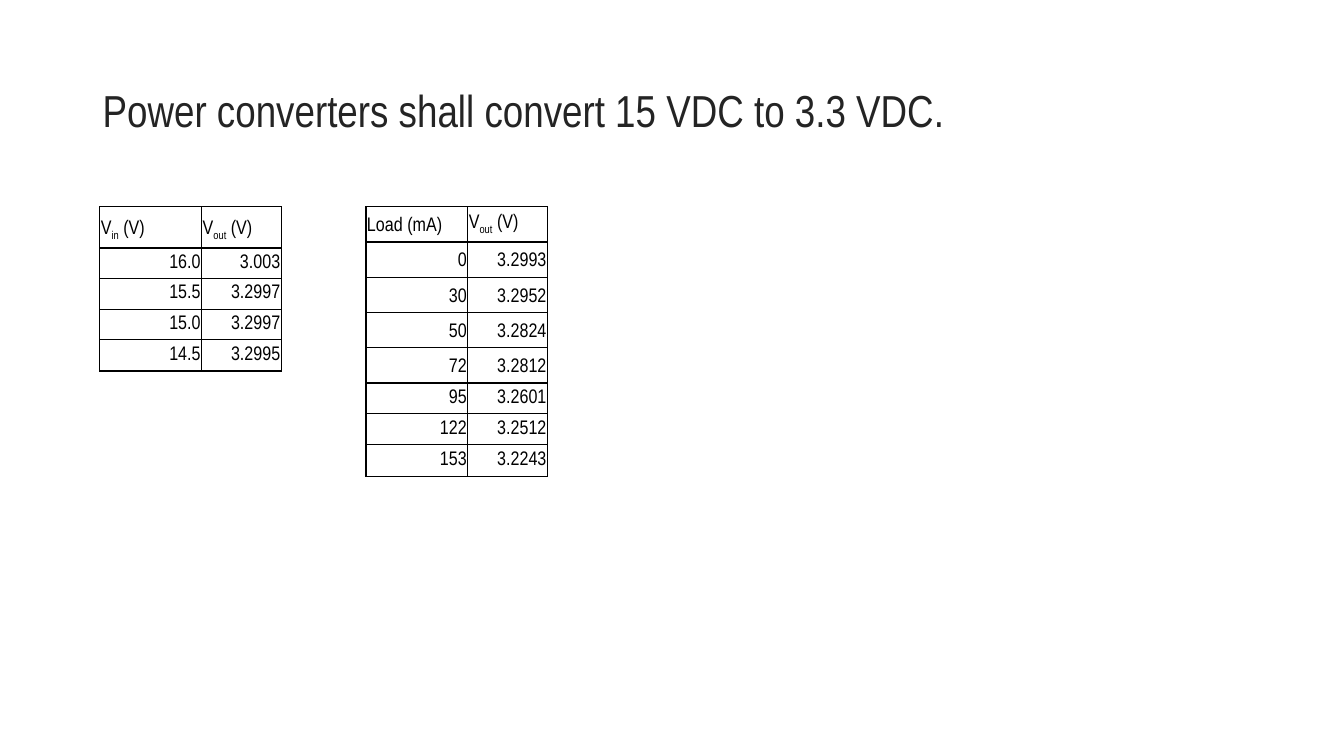
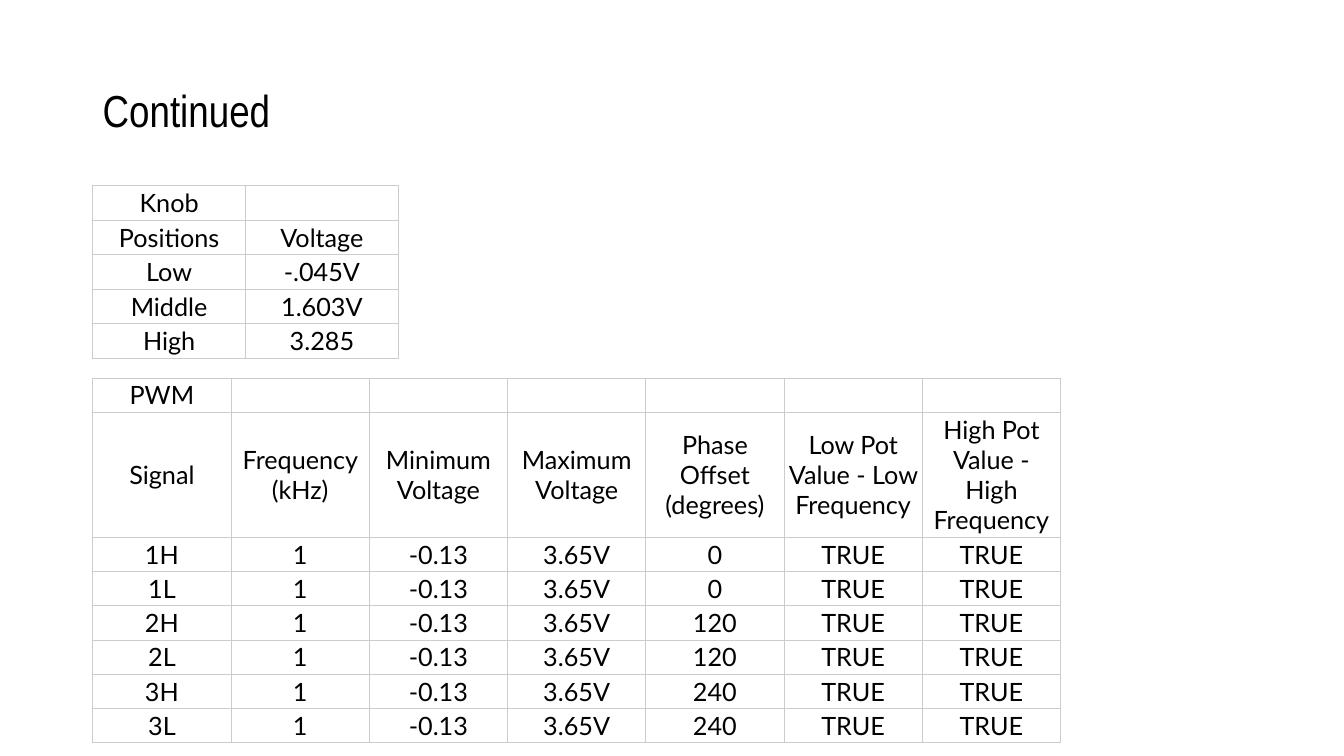
"""Build two slides of power converter, knob and PWM measurements."""
from dataclasses import dataclass

from lxml.etree import fromstring
from pptx import Presentation
from pptx.dml.color import RGBColor
from pptx.enum.text import MSO_ANCHOR as Anchor, PP_ALIGN as Align
from pptx.oxml.ns import nsdecls
from pptx.util import Inches, Pt

COLORS = {"ink": "000000", "heading": "242424", "grid": "CCCCCC"}
TITLE_FONT = "Arial Narrow"


@dataclass
class TableStyle:
    font: str
    size: float
    border: str
    border_pt: float
    anchor: Anchor
    header_align: Align
    body_align: Align
    insets: tuple


MEASURED = TableStyle("Arial Narrow", 14, "ink", 1, Anchor.BOTTOM,
                      Align.LEFT, Align.RIGHT, (0.01, 0.01, 0.01, 0.06))
SIGNALS = TableStyle("Lato", 18, "grid", 0.75, Anchor.MIDDLE,
                     Align.CENTER, Align.CENTER, (0.03, 0.02, 0.03, 0.02))

INPUT_SWEEP = [
    ("V_in_ (V)", "V_out_ (V)"),
    ("16.0", "3.003"),
    ("15.5", "3.2997"),
    ("15.0", "3.2997"),
    ("14.5", "3.2995"),
]
LOAD_SWEEP = [
    ("Load (mA)", "V_out_ (V)"),
    ("0", "3.2993"),
    ("30", "3.2952"),
    ("50", "3.2824"),
    ("72", "3.2812"),
    ("95", "3.2601"),
    ("122", "3.2512"),
    ("153", "3.2243"),
]
KNOB = [
    ("Knob", ""),
    ("Positions", "Voltage"),
    ("Low", "-.045V"),
    ("Middle", "1.603V"),
    ("High", "3.285"),
]
PWM = [
    ("PWM", "", "", "", "", "", ""),
    ("Signal", "Frequency (kHz)", "Minimum Voltage", "Maximum Voltage",
     "Phase Offset (degrees)", "Low Pot Value - Low Frequency",
     "High Pot Value - High Frequency"),
] + [
    (f"{phase}{side}", "1", "-0.13", "3.65V", offset, "TRUE", "TRUE")
    for phase, offset in ((1, "0"), (2, "120"), (3, "240"))
    for side in "HL"
]


def set_font(font, name, size, color):
    font.name, font.size = name, Pt(size)
    font.color.rgb = RGBColor.from_string(COLORS[color])


def add_titled_slide(prs, text, color):
    slide = prs.slides.add_slide(prs.slide_layouts[6])
    frame = slide.shapes.add_textbox(
        Inches(0.92), Inches(0.4), Inches(11.5), Inches(1.45)).text_frame
    frame.word_wrap = True
    frame.vertical_anchor = Anchor.MIDDLE
    title = frame.paragraphs[0]
    title.text = text
    title.line_spacing = 0.9
    set_font(title.font, TITLE_FONT, 32, color)
    return slide


def add_marked_text(paragraph, text):
    for index, piece in enumerate(text.split("_")):
        if piece:
            run = paragraph.add_run()
            run.text = piece
            if index % 2:
                run._r.get_or_add_rPr().set("baseline", "-25000")


def set_borders(cell, style):
    properties = cell._tc.get_or_add_tcPr()
    for index, side in enumerate(("lnL", "lnR", "lnT", "lnB")):
        properties.insert(index, fromstring(
            f'<a:{side} {nsdecls("a")} w="{Pt(style.border_pt)}"><a:solidFill>'
            f'<a:srgbClr val="{COLORS[style.border]}"/></a:solidFill></a:{side}>'))


def fill_cell(cell, text, style, align, line_spacing):
    cell.fill.background()
    set_borders(cell, style)
    (cell.margin_left, cell.margin_top,
     cell.margin_right, cell.margin_bottom) = map(Inches, style.insets)
    cell.vertical_anchor = style.anchor
    paragraph = cell.text_frame.paragraphs[0]
    paragraph.alignment = align
    paragraph.line_spacing = line_spacing
    set_font(paragraph.font, style.font, style.size, "ink")
    add_marked_text(paragraph, text)


def add_grid(slide, left, top, widths, heights, rows, style, line_spacing=None):
    grid = slide.shapes.add_table(
        len(rows), len(widths), Inches(left), Inches(top),
        Inches(sum(widths)), Inches(sum(heights))).table
    grid.first_row = grid.horz_banding = False
    for column, width in zip(grid.columns, widths):
        column.width = Inches(width)
    for row_no, (row, height, texts) in enumerate(zip(grid.rows, heights, rows)):
        row.height = Inches(height)
        align = style.body_align if row_no else style.header_align
        for cell, text in zip(row.cells, texts):
            fill_cell(cell, text, style, align, line_spacing)


def main():
    prs = Presentation()
    prs.slide_width, prs.slide_height = Inches(13.33), Inches(7.5)

    converters = add_titled_slide(
        prs, "Power converters shall convert 15 VDC to 3.3 VDC.", "heading")
    sweep_widths = (1.01, 0.79)
    add_grid(converters, 0.99, 2.05, sweep_widths,
             (0.41, 0.26, 0.26, 0.3, 0.31), INPUT_SWEEP, MEASURED)
    add_grid(converters, 3.63, 2.05, sweep_widths,
             [0.35] * 5 + [0.15, 0.31, 0.31], LOAD_SWEEP, MEASURED)

    continued = add_titled_slide(prs, "Continued", "ink")
    add_grid(continued, 0.92, 1.84, [3.03 / 2] * 2, [0.22] * len(KNOB),
             KNOB, SIGNALS, Pt(21.8))
    add_grid(continued, 0.92, 3.75, [9.6 / 7] * 7, [0.22] * len(PWM),
             PWM, SIGNALS)

    prs.save("out.pptx")


if __name__ == "__main__":
    main()
